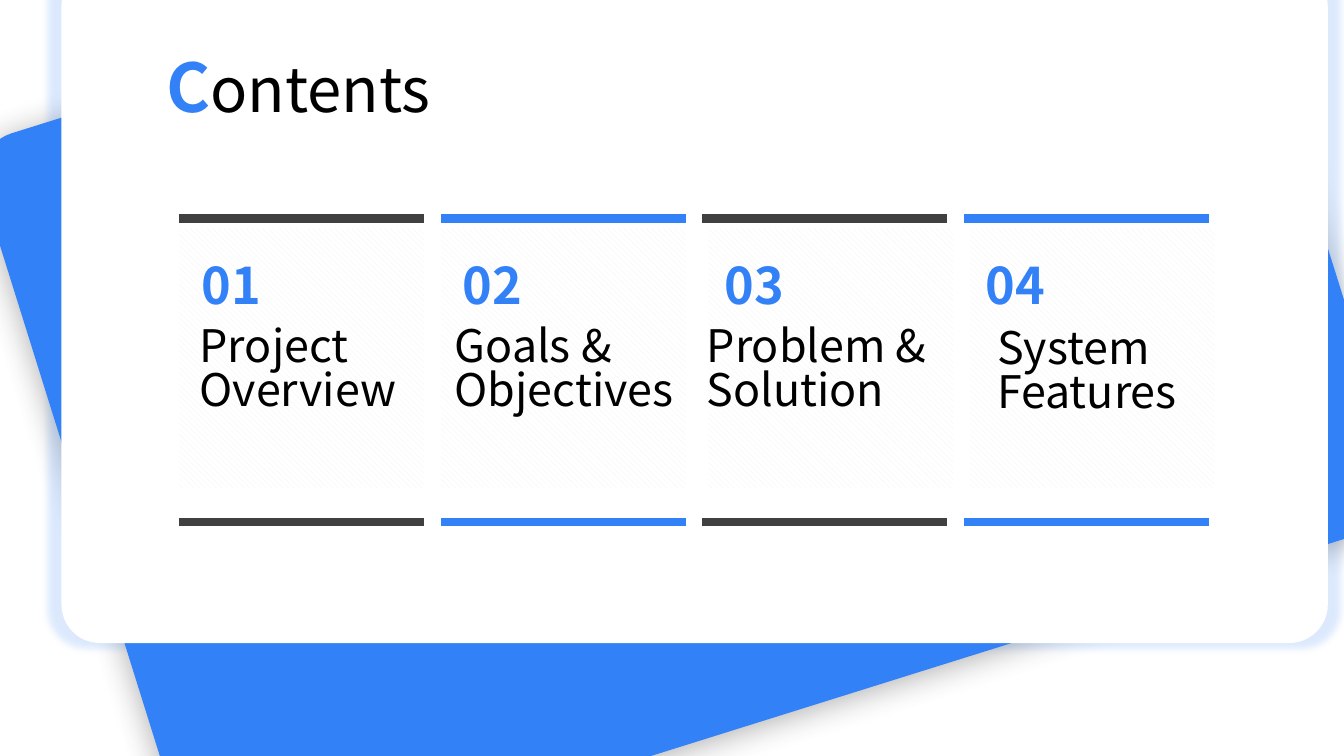
from dataclasses import dataclass

import lxml.etree
import pptx
import pptx.dml.color
import pptx.enum.dml
import pptx.enum.shapes
import pptx.enum.text
import pptx.oxml.ns
import pptx.shapes.autoshape
import pptx.slide
import pptx.text.text
import pptx.util

Inches = pptx.util.Inches
RGBColor = pptx.dml.color.RGBColor
Shapes = pptx.enum.shapes.MSO_SHAPE

BLUE = RGBColor(0x32, 0x81, 0xF6)
DARK = RGBColor(0x40, 0x40, 0x40)
SHADE = RGBColor(0x3F, 0x3F, 0x3F)
STRIPE = RGBColor(0xF2, 0xF2, 0xF2)
WHITE = RGBColor(0xFF, 0xFF, 0xFF)
BLACK = RGBColor(0x00, 0x00, 0x00)
FONT = "Noto Sans CJK SC"

COLUMN_LEFT = 1.78
COLUMN_STEP = (9.56 - COLUMN_LEFT) / 3
COLUMN_WIDTH = 2.43
RULE_TOPS = (2.17, 5.18)


@dataclass(frozen=True)
class Shadow:
    color: RGBColor
    opacity: int
    blur: float
    distance: float = 0
    scale: int = 100


@dataclass(frozen=True)
class Topic:
    title: str
    color: RGBColor
    left: float
    top: float
    width: float
    panel_shift: float = 0


TOPICS = (
    Topic("Project Overview", DARK, 1.9, 3.15, 2.18),
    Topic("Goals & Objectives", BLUE, 4.43, 3.15, 2.37),
    Topic("Problem & Solution", DARK, 6.93, 3.15, 2.4, 0.06),
    Topic("System Features", BLUE, 9.81, 3.17, 2.18, 0.06),
)


def add_effects(element: lxml.etree._Element, shadow: Shadow) -> None:
    """Put an outer shadow in the effect list of a shape."""
    qn = pptx.oxml.ns.qn
    effects = element.spPr.find(qn("a:effectLst"))
    outer = lxml.etree.SubElement(
        effects, qn("a:outerShdw"),
        blurRad=str(pptx.util.Pt(shadow.blur)), dist=str(pptx.util.Pt(shadow.distance)),
        dir="5400000", sx=str(shadow.scale * 1000), sy=str(shadow.scale * 1000),
        algn="ctr", rotWithShape="0")
    color = lxml.etree.SubElement(outer, qn("a:srgbClr"), val=str(shadow.color))
    lxml.etree.SubElement(color, qn("a:alpha"), val=str(shadow.opacity * 1000))


def add_card(slide: pptx.slide.Slide, left: float, top: float, width: float, height: float,
             color: RGBColor, shadow: Shadow, rotation: float = 0) -> None:
    shape = slide.shapes.add_shape(Shapes.ROUNDED_RECTANGLE, Inches(left), Inches(top),
                                   Inches(width), Inches(height))
    shape.adjustments[0] = 0.057
    shape.rotation = rotation
    shape.fill.solid()
    shape.fill.fore_color.rgb = color
    shape.line.fill.background()
    shape.shadow.inherit = False
    add_effects(shape._element, shadow)


def add_panel(slide: pptx.slide.Slide, left: float) -> None:
    shape = slide.shapes.add_shape(Shapes.RECTANGLE, Inches(left), Inches(2.27),
                                   Inches(COLUMN_WIDTH), Inches(2.57))
    shape.fill.patterned()
    shape.fill.pattern = pptx.enum.dml.MSO_PATTERN.WIDE_DOWNWARD_DIAGONAL
    shape.fill.fore_color.rgb = STRIPE
    shape.fill.back_color.rgb = WHITE
    shape.line.fill.background()
    shape.shadow.inherit = False


def add_rule(slide: pptx.slide.Slide, left: float, top: float, color: RGBColor) -> None:
    rule = slide.shapes.add_connector(
        pptx.enum.shapes.MSO_CONNECTOR.STRAIGHT, Inches(left), Inches(top),
        Inches(left + COLUMN_WIDTH), Inches(top))
    rule.line.color.rgb = color
    rule.line.width = pptx.util.Pt(6)
    lxml.etree.SubElement(rule._element.spPr, pptx.oxml.ns.qn("a:effectLst"))


def add_run(paragraph: pptx.text.text._Paragraph, text: str, *, size: float,
            color: RGBColor = BLACK, bold: bool = False) -> None:
    run = paragraph.add_run()
    run.text = text
    run.font.name = FONT
    run.font.size = pptx.util.Pt(size)
    run.font.bold = bold
    run.font.color.rgb = color
    properties = run.font._element
    lxml.etree.SubElement(properties, pptx.oxml.ns.qn("a:ea"), typeface=FONT)


def add_text(slide: pptx.slide.Slide, text: str, *, left: float, top: float, width: float,
             height: float, size: float, color: RGBColor = BLACK, bold: bool = False,
             wrap: bool = False, inset_left: float = 0.1, inset_top: float = 0.05,
             spacing: float = 1) -> pptx.text.text._Paragraph:
    box = slide.shapes.add_textbox(Inches(left), Inches(top), Inches(width), Inches(height))
    frame = box.text_frame
    frame.word_wrap = wrap
    frame.auto_size = pptx.enum.text.MSO_AUTO_SIZE.NONE
    frame.margin_left = Inches(inset_left)
    frame.margin_top = Inches(inset_top)
    paragraph = frame.paragraphs[0]
    paragraph.line_spacing = spacing
    add_run(paragraph, text, size=size, color=color, bold=bold)
    return paragraph


def main() -> None:
    presentation = pptx.Presentation()
    presentation.slide_width = Inches(13.33)
    presentation.slide_height = Inches(7.5)
    slide = presentation.slides.add_slide(presentation.slide_layouts[6])

    # Tilted blue card behind the white one
    add_card(slide, 0.57, -0.6, 12.56, 7.79, BLUE, Shadow(SHADE, 40, 22, 3), rotation=342.6)
    add_card(slide, 0.61, -0.32, 12.56, 6.7, WHITE, Shadow(BLUE, 16, 5, scale=102))

    # Heading
    heading = add_text(slide, "C", left=1.55, top=0.4, width=2.87, height=0.91,
                       size=48, color=BLUE, bold=True)
    add_run(heading, "ontents", size=44)

    # Four topic columns
    for index, topic in enumerate(TOPICS):
        left = COLUMN_LEFT + index * COLUMN_STEP
        add_panel(slide, left + topic.panel_shift)
        for top in RULE_TOPS:
            add_rule(slide, left, top, topic.color)
        add_text(slide, f"{index + 1:02}", left=left + 0.12, top=2.47, width=0.78,
                 height=0.71, size=36, color=BLUE, bold=True)
        add_text(slide, topic.title, left=topic.left, top=topic.top, width=topic.width,
                 height=0.65, size=32, wrap=True, inset_left=0.08, inset_top=0.1,
                 spacing=0.82)

    presentation.save("out.pptx")


if __name__ == "__main__":
    main()
